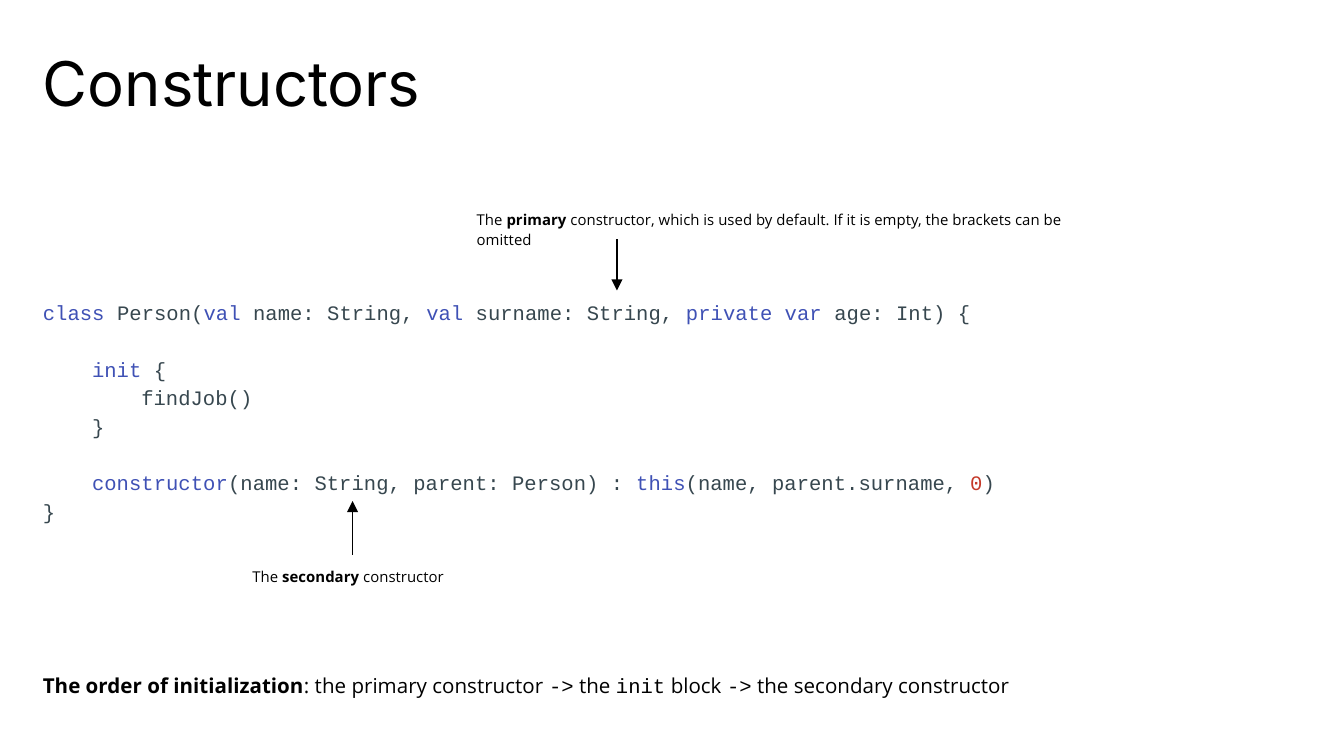
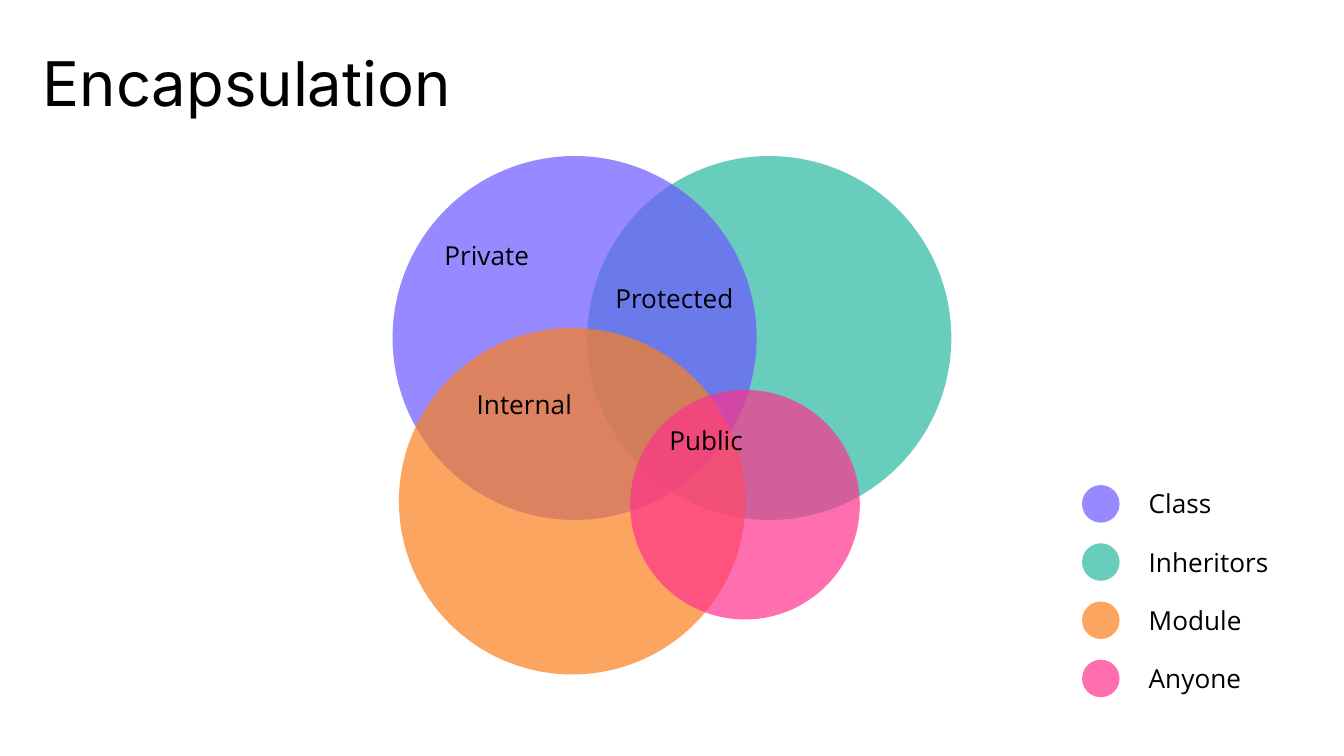
"""Build two slides on constructors and encapsulation."""
import lxml.etree
import pptx
import pptx.dml.color
import pptx.enum.shapes
import pptx.enum.text
import pptx.oxml.ns
import pptx.util

Cm = pptx.util.Cm
Pt = pptx.util.Pt

BLACK = "000000"
SANS = "Open Sans"
MONO = "Courier New"
STYLES = {
    "title": ("Inter", BLACK, False),
    "plain": (SANS, BLACK, False),
    "bold": (SANS, BLACK, True),
    "mono": (MONO, BLACK, False),
    "code": (MONO, "37474F", False),
    "keyword": (MONO, "3F51B5", False),
    "number": (MONO, "C53929", False),
}
SCOPES = {
    "Class": "6B57FF",
    "Inheritors": "28B8A0",
    "Module": "FC801D",
    "Anyone": "FF318C",
}
CODE_SIZE = 11
CODE_LEADING = 1.15
CODE_INDENT = 0.93
BLANK_LINE = 15.2


def color(value):
    return pptx.dml.color.RGBColor.from_string(value)


def add_element(parent, tag, **attributes):
    element = lxml.etree.SubElement(parent, pptx.oxml.ns.qn(tag))
    for name, value in attributes.items():
        element.set(name, str(value))
    return element


class Deck:
    def __init__(self):
        self.presentation = pptx.Presentation()
        self.presentation.slide_width = Cm(25.4)
        self.presentation.slide_height = Cm(14.29)
        self.slide = None

    def add_slide(self, layout_name, title):
        layout = self.presentation.slide_layouts.get_by_name(layout_name)
        self.slide = self.presentation.slides.add_slide(layout)
        shape = self.slide.shapes.title
        self.place(shape, 0.81, 0.81, 23.62, 1.27)
        self.set_frame(shape, (0, 0.25, 0, 0.25))
        self.add_runs(shape.text_frame.paragraphs[0], [(title, "title")], 33, 0.85)

    def place(self, shape, left, top, width, height):
        shape.left, shape.top = Cm(left), Cm(top)
        shape.width, shape.height = Cm(width), Cm(height)

    def set_frame(self, shape, insets, auto_size=pptx.enum.text.MSO_AUTO_SIZE.NONE):
        frame = shape.text_frame
        frame.word_wrap = True
        frame.auto_size = auto_size
        frame.vertical_anchor = pptx.enum.text.MSO_ANCHOR.TOP
        frame.margin_left, frame.margin_top, frame.margin_right, frame.margin_bottom = map(Cm, insets)

    def add_runs(self, paragraph, runs, size, leading=1.0, space_before=0):
        paragraph.alignment = pptx.enum.text.PP_ALIGN.LEFT
        paragraph.line_spacing = leading
        paragraph.space_before = Pt(space_before)
        for text, style in runs:
            run = paragraph.add_run()
            run.text = text
            name, fill, bold = STYLES[style]
            run.font.name = name
            run.font.size = Pt(size)
            run.font.bold = bold
            run.font.color.rgb = color(fill)

    def add_body(self, index, position, lines):
        shape = self.slide.placeholders[index]
        self.place(shape, *position)
        self.set_frame(shape, (0, 0.2, 0, 0))
        frame = shape.text_frame
        for number, (depth, gap, runs) in enumerate(lines):
            paragraph = frame.add_paragraph() if number else frame.paragraphs[0]
            self.add_runs(paragraph, runs, CODE_SIZE, CODE_LEADING, gap)
            properties = paragraph._p.get_or_add_pPr()
            properties.set("marL", str(Cm(depth * CODE_INDENT)))
            properties.set("indent", "0")
            add_element(properties, "a:buNone")

    def add_text(self, position, runs, size, leading=1.0):
        shape = self.slide.shapes.add_textbox(*map(Cm, position))
        self.set_frame(shape, (0.25,) * 4, pptx.enum.text.MSO_AUTO_SIZE.SHAPE_TO_FIT_TEXT)
        self.add_runs(shape.text_frame.paragraphs[0], runs, size, leading)
        return shape

    def add_arrow(self, x, start, end, source=None):
        connector = self.slide.shapes.add_connector(
            pptx.enum.shapes.MSO_CONNECTOR.STRAIGHT, Cm(x), Cm(start), Cm(x), Cm(end))
        if source is not None:
            connector.begin_connect(source, 0)
            connector.end_x = connector.begin_x
        connector.line.color.rgb = color(BLACK)
        connector.line.width = Pt(0.75)
        add_element(connector.line._get_or_add_ln(), "a:tailEnd", type="triangle")
        add_element(connector._element.spPr, "a:effectLst")

    def add_circle(self, left, top, diameter, scope):
        shape = self.slide.shapes.add_shape(
            pptx.enum.shapes.MSO_SHAPE.OVAL, Cm(left), Cm(top), Cm(diameter), Cm(diameter))
        shape.shadow.inherit = False
        shape.line.fill.background()
        shape.fill.solid()
        shape.fill.fore_color.rgb = color(SCOPES[scope])
        fill = shape._element.spPr.find(".//" + pptx.oxml.ns.qn("a:srgbClr"))
        add_element(fill, "a:alpha", val=70000)


def build_constructors(deck):
    deck.add_slide("Two Content", "Constructors")
    deck.add_body(1, (0.81, 5.41, 23.14, 4.47), [
        (0, 0, [("class", "keyword"), (" Person(", "code"), ("val", "keyword"),
                (" name: String, ", "code"), ("val", "keyword"),
                (" surname: String, ", "code"), ("private var", "keyword"),
                (" age: Int) {", "code")]),
        (1, BLANK_LINE, [("init", "keyword"), (" {", "code")]),
        (2, 0, [("findJob()", "code")]),
        (1, 0, [("}", "code")]),
        (1, BLANK_LINE, [("constructor", "keyword"),
                         ("(name: String, parent: Person) : ", "code"),
                         ("this", "keyword"), ("(name, parent.surname, ", "code"),
                         ("0", "number"), (")", "code")]),
        (0, 0, [("}", "code")]),
    ])
    deck.add_body(2, (0.81, 12.45, 23.14, 1.8), [
        (0, 0, [("The order of initialization", "bold"),
                (": the primary constructor ", "plain"), ("->", "mono"),
                (" the ", "plain"), ("init", "mono"), (" block ", "plain"),
                ("->", "mono"), (" the secondary constructor", "plain")]),
    ])
    deck.add_text((8.76, 3.68, 12.01, 1.24), [
        ("The ", "plain"), ("primary", "bold"),
        (" constructor, which is used by default. If it is empty, "
         "the brackets can be omitted", "plain")], 8, 1.15)
    secondary_note = deck.add_text((4.52, 10.49, 4.29, 0.86), [
        ("The ", "plain"), ("secondary", "bold"), (" constructor", "plain")], 8, 1.15)
    deck.add_arrow(11.66, 4.52, 5.49)
    deck.add_arrow(6.68, 10.49, 9.47, secondary_note)


def build_encapsulation(deck):
    deck.add_slide("Title Only", "Encapsulation")
    for left, top, diameter, scope in (
            (11.1, 2.95, 6.88, "Inheritors"), (7.42, 2.95, 6.88, "Class"),
            (7.54, 6.2, 6.55, "Module"), (11.91, 7.37, 4.34, "Anyone")):
        deck.add_circle(left, top, diameter, scope)
    for left, top, width, modifier in (
            (8.15, 4.27, 2.21, "Private"), (11.38, 5.08, 3.15, "Protected"),
            (8.76, 7.09, 3.15, "Internal"), (12.4, 7.77, 3.15, "Public")):
        deck.add_text((left, top, width, 1.12), [(modifier, "plain")], 14)
    for row, scope in enumerate(SCOPES):
        offset = 1.1 * row
        deck.add_circle(20.45, 9.17 + offset, 0.71, scope)
        deck.add_text((21.46, 8.97 + offset, 3.15, 1.12), [(scope, "plain")], 14)


def main():
    deck = Deck()
    build_constructors(deck)
    build_encapsulation(deck)
    deck.presentation.save("out.pptx")


if __name__ == "__main__":
    main()
